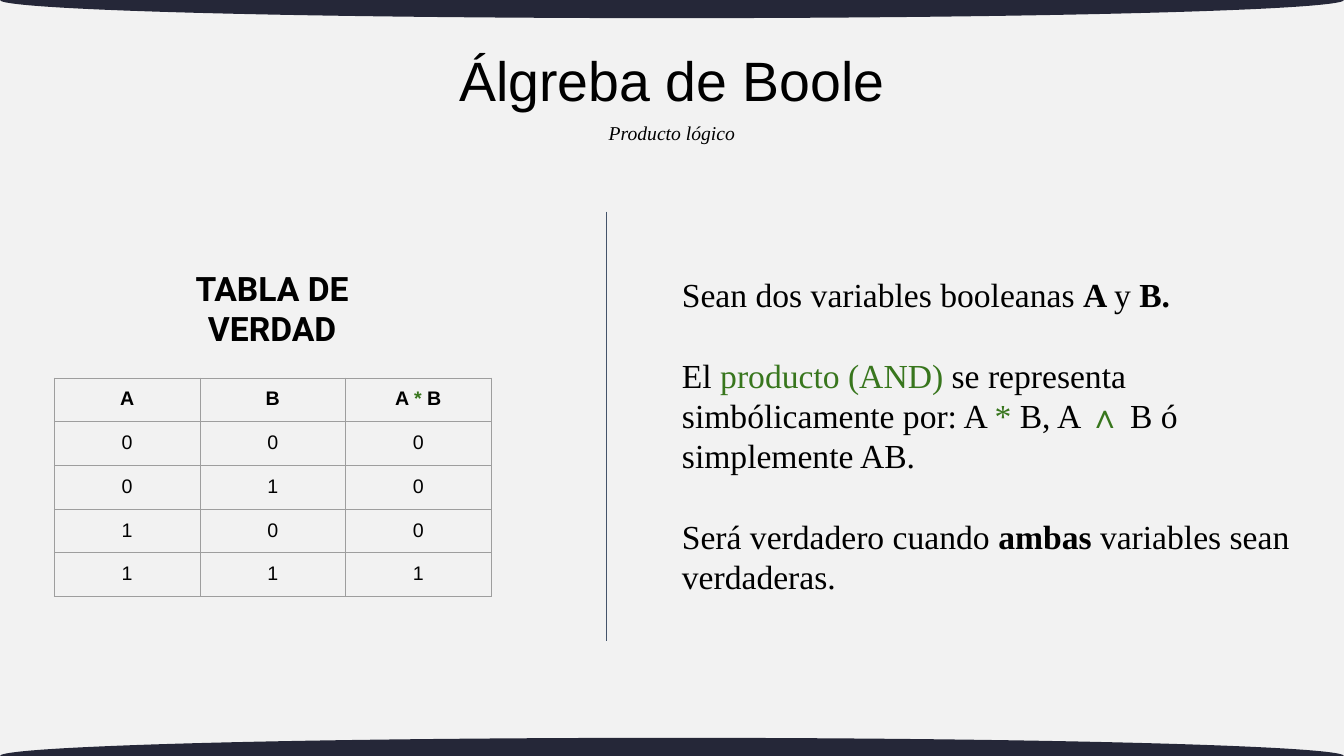
from lxml.etree import SubElement
from pptx import Presentation
from pptx.dml.color import RGBColor
from pptx.enum.shapes import MSO_CONNECTOR, MSO_SHAPE
from pptx.enum.text import MSO_ANCHOR, PP_ALIGN
from pptx.oxml.ns import qn
from pptx.util import Inches, Pt

PAPER = RGBColor(0xF2, 0xF2, 0xF2)
NAVY = RGBColor(0x25, 0x27, 0x38)
INK = RGBColor(0x00, 0x00, 0x00)
GREEN = RGBColor(0x38, 0x76, 0x1D)
SLATE = RGBColor(0x44, 0x54, 0x6A)
GRID = RGBColor(0x9E, 0x9E, 0x9E)

OPERATOR = {"color": GREEN}
STRONG = {"bold": True}


def add_run(paragraph, text, font="Arial", size=14, color=INK, bold=False, italic=False):
    run = paragraph.add_run()
    run.text = text
    run.font.name = font
    run.font.size = Pt(size)
    run.font.color.rgb = color
    run.font.bold = bold
    run.font.italic = italic


def write(frame, paragraphs, align=PP_ALIGN.LEFT, gap=0, spacing=None, **style):
    """Fill a frame; each paragraph is a list of (text, overrides) pairs."""
    for index, pieces in enumerate(paragraphs):
        paragraph = frame.paragraphs[0] if index == 0 else frame.add_paragraph()
        paragraph.alignment = align
        paragraph.space_before = Pt(gap if index else 0)
        if spacing:
            paragraph.line_spacing = spacing
        for text, overrides in pieces:
            add_run(paragraph, text, **{**style, **overrides})


class LessonSlide:
    """Places elements by percentages of the slide's width and height."""

    def __init__(self, presentation):
        self.width = presentation.slide_width
        self.height = presentation.slide_height
        self.slide = presentation.slides.add_slide(presentation.slide_layouts[6])
        self.slide.background.fill.solid()
        self.slide.background.fill.fore_color.rgb = PAPER

    def place(self, x, y):
        return round(self.width * x / 100), round(self.height * y / 100)

    def box(self, left, top, width, height):
        return *self.place(left, top), *self.place(width, height)

    def edge_curve(self, center, height=4.8):
        """Draw a full-width ellipse centred on a slide edge."""
        curve = self.slide.shapes.add_shape(
            MSO_SHAPE.OVAL, *self.box(0, center - height / 2, 100, height))
        curve.shadow.inherit = False
        curve.fill.solid()
        curve.fill.fore_color.rgb = NAVY
        curve.line.fill.background()

    def text(self, area, paragraphs, inset=0.1, anchor=MSO_ANCHOR.TOP, **style):
        frame = self.slide.shapes.add_textbox(*self.box(*area)).text_frame
        frame.word_wrap = True
        frame.vertical_anchor = anchor
        frame.margin_left = frame.margin_right = Inches(0.1)
        frame.margin_top = frame.margin_bottom = Inches(inset)
        write(frame, paragraphs, **style)

    def divider(self, x, top, bottom):
        line = self.slide.shapes.add_connector(
            MSO_CONNECTOR.STRAIGHT, *self.place(x, top), *self.place(x, bottom))
        line.line.color.rgb = SLATE
        line.line.width = Pt(0.75)
        SubElement(line._element.spPr, qn("a:effectLst"))

    def truth_table(self, area, header, rows):
        table = self.slide.shapes.add_table(
            len(rows) + 1, len(header), *self.box(*area)).table
        table.first_row = table.horz_banding = False
        contents = [header] + [[[(str(bit), {})] for bit in row] for row in rows]
        for row_index, row in enumerate(contents):
            for column_index, pieces in enumerate(row):
                cell = table.cell(row_index, column_index)
                cell.margin_left = cell.margin_right = Inches(0.1)
                cell.margin_top = cell.margin_bottom = Inches(0.1)
                self.cell_borders(cell)
                cell.fill.background()
                write(cell.text_frame, [pieces], align=PP_ALIGN.CENTER,
                      bold=row_index == 0)

    def cell_borders(self, cell):
        properties = cell._tc.get_or_add_tcPr()
        for side in ("lnL", "lnR", "lnT", "lnB"):
            border = SubElement(properties, qn(f"a:{side}"), w=str(Pt(0.75)))
            fill = SubElement(border, qn("a:solidFill"))
            SubElement(fill, qn("a:srgbClr"), val=str(GRID))


def main():
    presentation = Presentation()
    presentation.slide_width = Inches(13.33)
    presentation.slide_height = Inches(7.5)
    lesson = LessonSlide(presentation)

    for edge in (0, 100):
        lesson.edge_curve(edge)

    lesson.text((14.6, 4.8, 70.8, 12.5), [[("Álgreba de Boole", {})]], inset=0.05,
                anchor=MSO_ANCHOR.MIDDLE, align=PP_ALIGN.CENTER, spacing=0.9, size=39.6)
    lesson.text((24.6, 15.3, 50.8, 4.5), [[("Producto lógico", {})]], inset=0.05,
                align=PP_ALIGN.CENTER, font="Times New Roman", italic=True)

    explanation = [
        [("Sean dos variables booleanas ", {}), ("A ", STRONG), ("y ", {}), ("B.", STRONG)],
        [("El ", {}), ("producto (AND)", OPERATOR),
         (" se representa simbólicamente por: A ", {}), ("* ", OPERATOR),
         ("B, A ", {}), ("∧", OPERATOR), (" B ó simplemente AB.", {})],
        [("Será verdadero cuando ", {}), ("ambas ", STRONG),
         ("variables sean verdaderas.", {})],
    ]
    lesson.text((50, 34.9, 48.6, 46.5), explanation, gap=28.8,
                font="Times New Roman", size=24)

    lesson.divider(45.1, 28, 84.8)

    product = [("A ", {}), ("*", OPERATOR), (" B", {})]
    lesson.truth_table((4.05, 50, 32.5, 28), [[("A", {})], [("B", {})], product],
                       [(a, b, a * b) for a in (0, 1) for b in (0, 1)])
    lesson.text((11.9, 34.1, 16.7, 11.7), [[("TABLA DE VERDAD", {})]],
                align=PP_ALIGN.CENTER, font="Roboto", size=24, bold=True)

    presentation.save("out.pptx")


if __name__ == "__main__":
    main()
